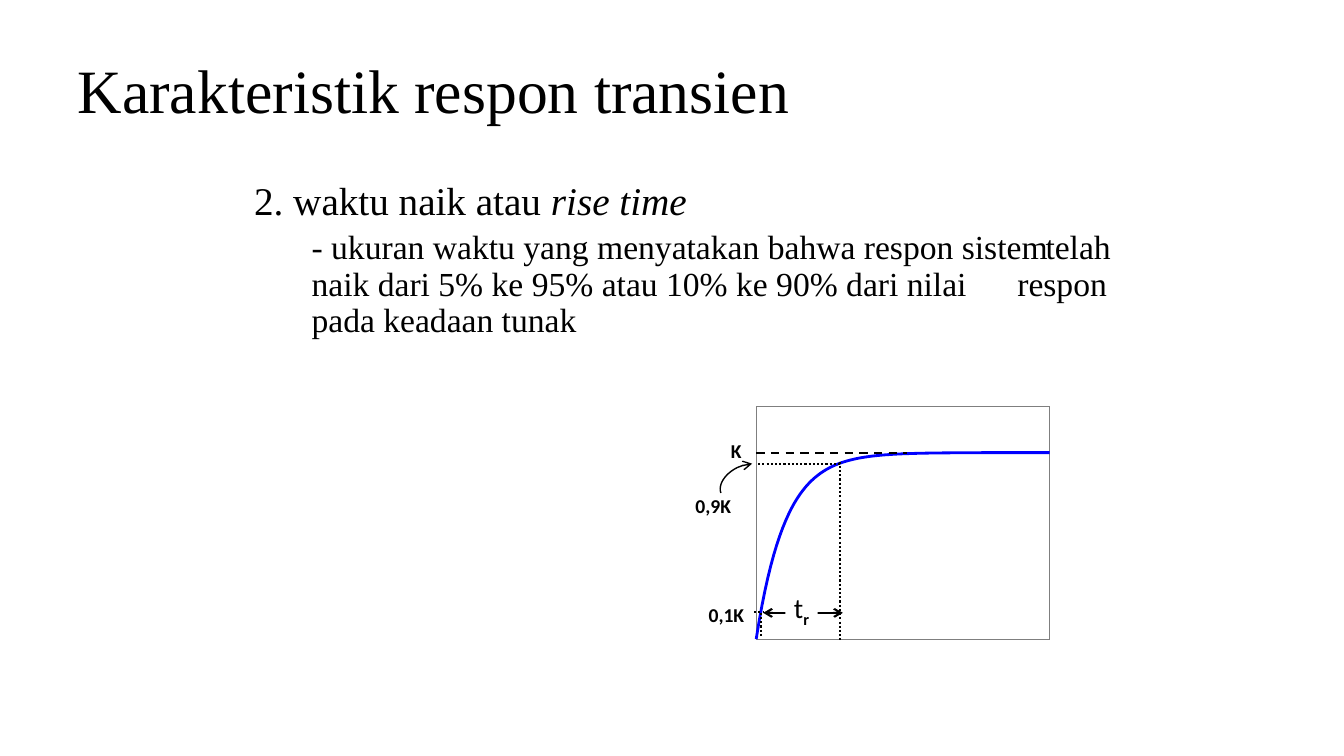
from dataclasses import dataclass
from math import exp

from lxml import etree
from pptx import Presentation
from pptx.dml.color import RGBColor
from pptx.enum.dml import MSO_LINE
from pptx.enum.shapes import MSO_CONNECTOR, MSO_SHAPE
from pptx.enum.text import MSO_ANCHOR, MSO_AUTO_SIZE, PP_ALIGN
from pptx.oxml.ns import qn
from pptx.util import Inches, Pt

STRAIGHT = MSO_CONNECTOR.STRAIGHT
RECTANGLE = MSO_SHAPE.RECTANGLE
DASH, DOT = MSO_LINE.DASH, MSO_LINE.ROUND_DOT
LEFT, CENTER = PP_ALIGN.LEFT, PP_ALIGN.CENTER
TOP, MIDDLE = MSO_ANCHOR.TOP, MSO_ANCHOR.MIDDLE
NO_FIT = MSO_AUTO_SIZE.NONE


@dataclass(frozen=True)
class Theme:
    ink: RGBColor = RGBColor(0, 0, 0)
    paper: RGBColor = RGBColor(255, 255, 255)
    frame: RGBColor = RGBColor(0x7F, 0x7F, 0x7F)
    curve: RGBColor = RGBColor(0, 0, 255)
    text_font: str = "Times New Roman"
    label_font: str = "Calibri"
    title_size: int = 44
    item_size: int = 28
    detail_size: int = 24
    symbol_size: int = 20
    label_size: int = 14


THEME = Theme()

# Plot geometry in inches
PLOT_LEFT, PLOT_RIGHT, PLOT_TOP, PLOT_BOTTOM = 7.5, 10.41, 4.03, 6.34
STEADY_Y = 4.49
TIME_CONSTANT = 0.29
CURVE_STEPS = 100


def apply_format(target, formats):
    for name, value in formats.items():
        setattr(target, name, value)


def place(shape, left, top, width, height):
    apply_format(shape, {"left": Inches(left), "top": Inches(top),
                         "width": Inches(width), "height": Inches(height)})


def add_run(paragraph, text, font_name, size, **formats):
    run = paragraph.add_run()
    run.text = text
    apply_format(run.font, {"name": font_name, "size": Pt(size), **formats})
    run.font.color.rgb = THEME.ink
    return run


def set_list_layout(paragraph, margin, indent):
    """Hanging indent, no bullet, two left tab stops."""
    properties = paragraph._p.get_or_add_pPr()
    properties.set("marL", str(Inches(margin)))
    properties.set("indent", str(Inches(indent)))
    etree.SubElement(properties, qn("a:buNone"))
    tabs = etree.SubElement(properties, qn("a:tabLst"))
    for position in (0.38, 0.62):
        etree.SubElement(tabs, qn("a:tab"), pos=str(Inches(position)), algn="l")


def style_line(shape, color, width, dash=None, ends=()):
    shape.line.color.rgb = color
    shape.line.width = Pt(width)
    if dash:
        shape.line.dash_style = dash
    for end in ends:
        etree.SubElement(shape.line._get_or_add_ln(), qn(f"a:{end}"), type="arrow")


def add_line(slide, start, end, color=THEME.ink, width=1.5, dash=None, ends=()):
    points = [Inches(value) for value in (*start, *end)]
    line = slide.shapes.add_connector(STRAIGHT, *points)
    style_line(line, color, width, dash, ends)
    etree.SubElement(line._element.spPr, qn("a:effectLst"))


def add_path(slide, points, color, width, ends=()):
    corners = [(Inches(x), Inches(y)) for x, y in points]
    builder = slide.shapes.build_freeform(*corners[0])
    builder.add_line_segments(corners[1:], close=False)
    path_shape = builder.convert_to_shape()
    path_shape.fill.background()
    path_shape.shadow.inherit = False
    style_line(path_shape, color, width, ends=ends)


def add_label(slide, text, left, top, width, alignment):
    box = slide.shapes.add_textbox(*map(Inches, (left, top, width, 0.33)))
    box.text_frame.word_wrap = True
    paragraph = box.text_frame.paragraphs[0]
    paragraph.alignment = alignment
    add_run(paragraph, text, THEME.label_font, THEME.label_size, bold=True)


def add_rise_symbol(slide):
    shape = slide.shapes.add_shape(RECTANGLE, *map(Inches, (7.79, 5.85, 0.32, 0.39)))
    shape.shadow.inherit = False
    shape.fill.solid()
    shape.fill.fore_color.rgb = THEME.paper
    shape.line.fill.background()
    apply_format(shape.text_frame, {"word_wrap": False, "vertical_anchor": MIDDLE})
    paragraph = shape.text_frame.paragraphs[0]
    paragraph.alignment = CENTER
    add_run(paragraph, "t", THEME.label_font, THEME.symbol_size)
    subscript = add_run(paragraph, "r", THEME.label_font, THEME.symbol_size, bold=True)
    subscript._r.get_or_add_rPr().set("baseline", "-25000")


def bezier(start, control_1, control_2, end, steps=12):
    for step in range(steps + 1):
        t = step / steps
        weights = ((1 - t) ** 3, 3 * t * (1 - t) ** 2, 3 * t ** 2 * (1 - t), t ** 3)
        corners = (start, control_1, control_2, end)
        yield tuple(sum(w * corner[axis] for w, corner in zip(weights, corners))
                    for axis in (0, 1))


def response_points():
    """First-order step response rising to the steady value."""
    step_width = (PLOT_RIGHT - PLOT_LEFT) / CURVE_STEPS
    for step in range(CURVE_STEPS + 1):
        time = step * step_width
        yield (PLOT_LEFT + time,
               STEADY_Y + (PLOT_BOTTOM - STEADY_Y) * exp(-time / TIME_CONSTANT))


def fill_title(title):
    place(title, 0.67, 0.3, 12, 1.25)
    apply_format(title.text_frame, {"vertical_anchor": MIDDLE, "auto_size": NO_FIT,
                                    "word_wrap": True})
    paragraph = title.text_frame.paragraphs[0]
    apply_format(paragraph, {"alignment": LEFT, "line_spacing": 0.9})
    add_run(paragraph, "Karakteristik respon transien", THEME.text_font, THEME.title_size)


def fill_body(body):
    place(body, 2.17, 1.75, 9, 2.08)
    frame = body.text_frame
    apply_format(frame, {"vertical_anchor": TOP, "auto_size": NO_FIT, "word_wrap": True})
    item, detail = frame.paragraphs[0], frame.add_paragraph()
    set_list_layout(item, 0.25, -0.25)
    set_list_layout(detail, 0.82, -0.12)
    apply_format(item, {"line_spacing": 0.9, "space_before": Pt(0)})
    apply_format(detail, {"level": 1, "line_spacing": 0.9, "space_before": Pt(5)})
    add_run(item, "\t2. waktu naik atau ", THEME.text_font, THEME.item_size)
    add_run(item, "rise time", THEME.text_font, THEME.item_size, italic=True)
    add_run(detail, "\t- ukuran waktu yang menyatakan bahwa respon sistem \ttelah naik "
            "dari 5% ke 95% atau 10% ke 90% dari nilai \trespon pada keadaan tunak",
            THEME.text_font, THEME.detail_size)


def draw_plot(slide):
    # Frame
    corners = [(PLOT_LEFT, PLOT_TOP), (PLOT_RIGHT, PLOT_TOP),
               (PLOT_RIGHT, PLOT_BOTTOM), (PLOT_LEFT, PLOT_BOTTOM)]
    for start, end in zip(corners, corners[1:] + corners[:1]):
        add_line(slide, start, end, THEME.frame, 0.25)

    # Response and steady value
    add_path(slide, list(response_points()), THEME.curve, 2)
    add_line(slide, (PLOT_LEFT, STEADY_Y), (9, STEADY_Y), dash=DASH)

    # Rise time between 10% and 90%
    add_line(slide, (7.57, 6.08), (8.36, 6.08), ends=("headEnd", "tailEnd"))
    add_rise_symbol(slide)
    for start, end in (((8.33, 4.58), (8.33, 6.35)), ((7.55, 6.08), (7.55, 6.33)),
                       ((7.48, 6.07), (7.57, 6.07)), ((7.52, 4.6), (8.34, 4.6))):
        add_line(slide, start, end, dash=DOT)

    # Arrow from the 0,9K label to its level
    arrow = [*bezier((7.15, 4.89), (7.12, 4.81), (7.19, 4.7), (7.31, 4.64)),
             *bezier((7.31, 4.64), (7.36, 4.62), (7.41, 4.6), (7.46, 4.6))]
    add_path(slide, arrow, THEME.ink, 1, ends=("tailEnd",))

    # Level labels
    add_label(slide, "K", 7.15, 4.31, 0.36, LEFT)
    add_label(slide, "0,1K", 6.9, 5.93, 0.61, CENTER)
    add_label(slide, "0,9K", 6.77, 4.85, 0.61, CENTER)


def main():
    presentation = Presentation()
    apply_format(presentation, {"slide_width": Inches(13.33), "slide_height": Inches(7.5)})
    slide = presentation.slides.add_slide(presentation.slide_layouts[1])
    fill_title(slide.shapes.title)
    fill_body(slide.placeholders[1])
    draw_plot(slide)
    presentation.save("out.pptx")


if __name__ == "__main__":
    main()
